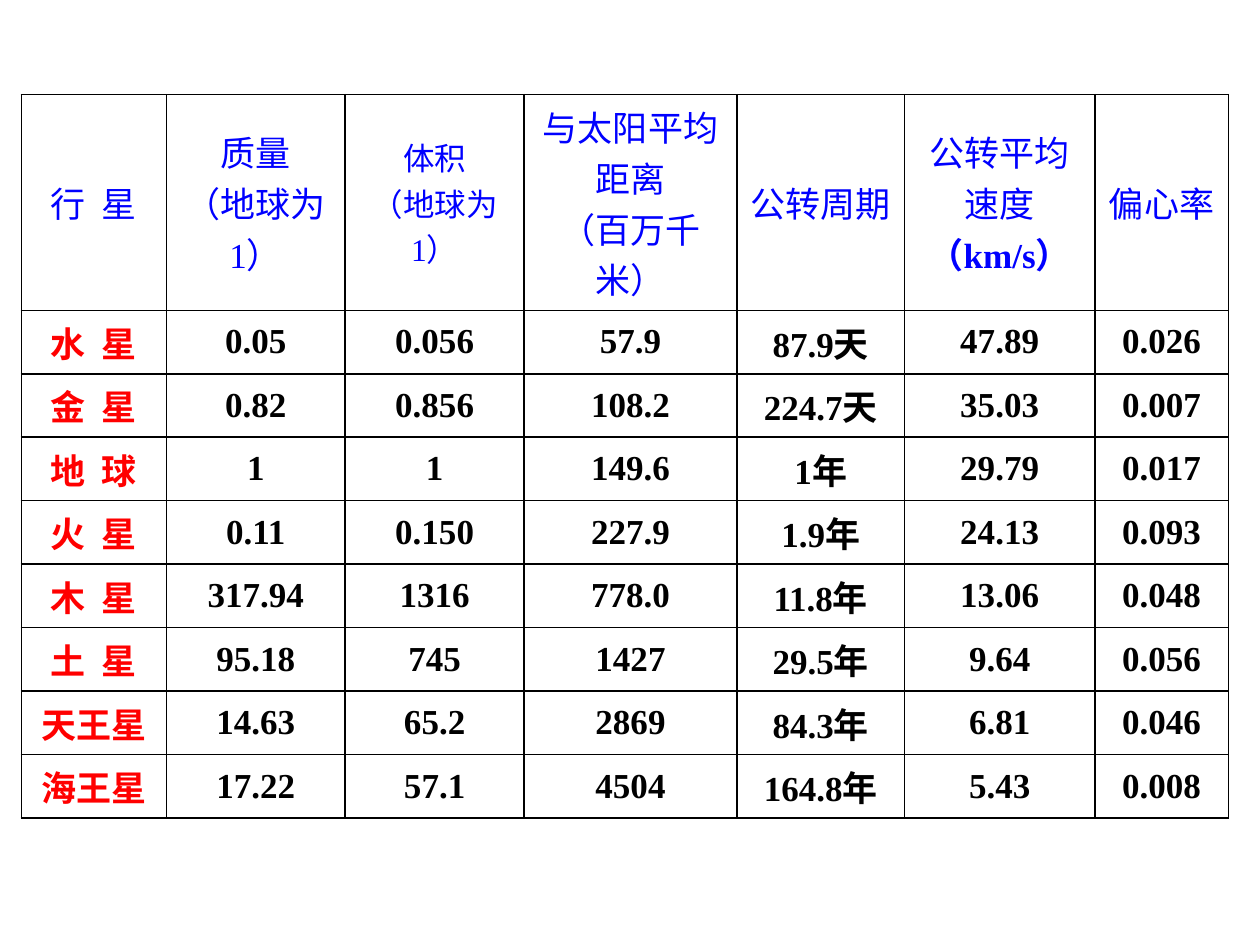
from pptx import Presentation
from pptx.dml.color import RGBColor
from pptx.enum import text
from pptx.oxml import parse_xml
from pptx.oxml.ns import nsdecls
from pptx.util import Inches, Pt

THEME = {
    "font": "Times New Roman",
    "header": RGBColor(0x00, 0x00, 0xFF),
    "planet": RGBColor(0xFF, 0x00, 0x00),
    "value": RGBColor(0x00, 0x00, 0x00),
    "border": "000000",
    "border_width": Pt(1),
    "size": Pt(20),
    "small": Pt(18),
}

HEADERS = ["行  星", "质量\n（地球为1）", "体积\n（地球为1）",
           "与太阳平均距离\n（百万千米）", "公转周期",
           "公转平均速度\n（km/s）", "偏心率"]
PLANETS = [
    ["水  星", "0.05", "0.056", "57.9", "87.9天", "47.89", "0.026"],
    ["金  星", "0.82", "0.856", "108.2", "224.7天", "35.03", "0.007"],
    ["地  球", "1", "1", "149.6", "1年", "29.79", "0.017"],
    ["火  星", "0.11", "0.150", "227.9", "1.9年", "24.13", "0.093"],
    ["木  星", "317.94", "1316", "778.0", "11.8年", "13.06", "0.048"],
    ["土  星", "95.18", "745", "1427", "29.5年", "9.64", "0.056"],
    ["天王星", "14.63", "65.2", "2869", "84.3年", "6.81", "0.046"],
    ["海王星", "17.22", "57.1", "4504", "164.8年", "5.43", "0.008"],
]
COL_WIDTHS = [1.15, 1.42, 1.42, 1.69, 1.33, 1.51, 1.06]
HEADER_HEIGHT, ROW_HEIGHT = 1.71, 0.5


def add_borders(cell):
    tcPr = cell._tc.get_or_add_tcPr()
    for i, side in enumerate(("lnL", "lnR", "lnT", "lnB")):
        tcPr.insert(i, parse_xml(
            f'<a:{side} {nsdecls("a")} w="{THEME["border_width"]}"><a:solidFill>'
            f'<a:srgbClr val="{THEME["border"]}"/></a:solidFill></a:{side}>'))


prs = Presentation()
prs.slide_width, prs.slide_height = Inches(10), Inches(7.5)
s = prs.slides.add_slide(prs.slide_layouts[6])

# Table grid
rows = [HEADERS] + PLANETS
heights = [HEADER_HEIGHT] + [ROW_HEIGHT] * len(PLANETS)
table = s.shapes.add_table(len(rows), len(HEADERS), Inches(0.17), Inches(0.75),
                           Inches(sum(COL_WIDTHS)), Inches(sum(heights))).table
table.horz_banding = False
for col, width in zip(table.columns, COL_WIDTHS):
    col.width = Inches(width)
for row, height in zip(table.rows, heights):
    row.height = Inches(height)

# Cell text, fills and borders
for i, row in enumerate(rows):
    for j, value in enumerate(row):
        cell = table.cell(i, j)
        cell.fill.background()
        add_borders(cell)
        cell.vertical_anchor = text.MSO_ANCHOR.MIDDLE
        cell.text_frame.text = value
        role = "header" if i == 0 else "planet" if j == 0 else "value"
        for p in cell.text_frame.paragraphs:
            p.alignment = text.PP_ALIGN.CENTER
            r = p.runs[0]
            fmt = {
                "name": THEME["font"],
                "size": THEME["small" if (i, j) == (0, 2) else "size"],
                "bold": i > 0 or "km/s" in r.text,
            }
            for name, setting in fmt.items():
                setattr(r.font, name, setting)
            r.font.color.rgb = THEME[role]

prs.save("out.pptx")
